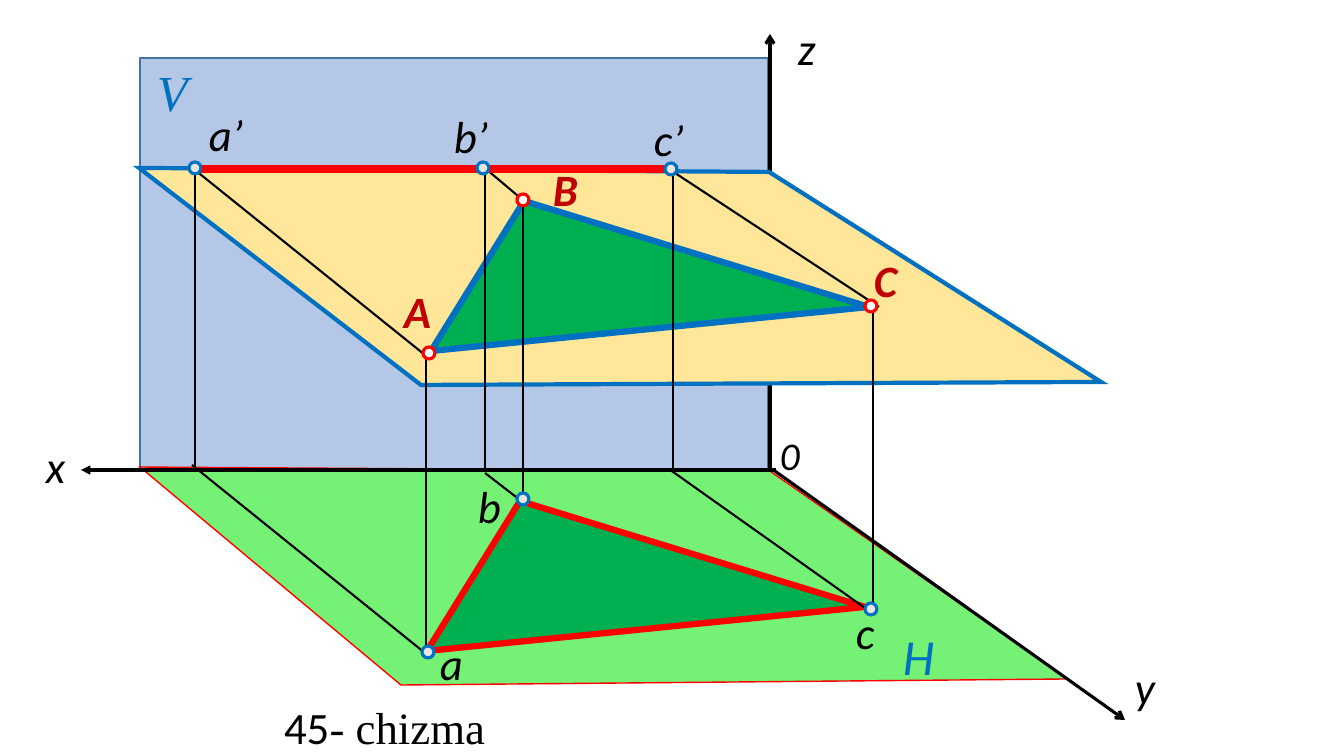
from dataclasses import dataclass

from pptx import Presentation
from pptx.dml.color import RGBColor
from pptx.enum.shapes import MSO_CONNECTOR, MSO_SHAPE
from pptx.enum.text import MSO_ANCHOR, MSO_AUTO_SIZE, PP_ALIGN
from pptx.oxml.ns import qn
from pptx.util import Pt
from lxml.etree import SubElement


@dataclass(frozen=True)
class Theme:
    sans: str = "Calibri"
    serif: str = "Times New Roman"
    black: str = "000000"
    white: str = "FFFFFF"
    blue: str = "0070C0"
    red: str = "FF0000"
    dark_red: str = "C00000"
    green: str = "00B050"
    light_green: str = "75F175"
    yellow: str = "FFE699"
    pale_blue: str = "B4C7E7"
    steel: str = "43739E"
    gray: str = "E7E6E6"
    origin_size: int = 28
    label_size: int = 32
    plane_size: int = 36
    hairline: float = 1
    ray: float = 1.5
    axis: float = 2.25
    border: float = 3
    edge: float = 4.5
    trace: float = 6


THEME = Theme()
PX = 914400 / 100.8

FRONTAL_PLANE = (140, 58, 628, 411)
HORIZONTAL_PLANE = [(140, 467), (770, 471), (1068, 679), (401, 685)]
LEVEL_PLANE = [(139, 168), (769, 172), (1101, 382), (421, 385)]
TRIANGLE = [(431, 351), (524, 201), (869, 307)]
PROJECTION_SHIFT = (-4, 300)

AXES = [
    ((81, 470), (776, 470), "triangle"),
    ((770, 34), (770, 472), "arrow"),
    ((1125, 720), (772, 469), "arrow"),
]
DROPS = [
    ((426, 647), (426, 354)),
    ((873, 609), (873, 311)),
    ((523, 547), (523, 203)),
]
RAYS = [
    ((430, 359), (195, 170)),
    ((879, 307), (672, 171)),
    ((524, 201), (486, 169)),
    ((673, 470), (673, 175)),
    ((485, 469), (485, 175)),
    ((195, 472), (195, 170)),
    ((865, 608), (669, 469)),
    ((520, 500), (485, 473)),
    ((425, 653), (192, 465)),
]
TRACE = ((200, 169), (678, 169))

DOT_SIZE = 12
PROJECTED_POINTS = [(671, 169), (483, 168), (195, 168),
                    (428, 652), (523, 499), (871, 609)]
SPACE_POINTS = [(523, 200), (429, 353), (871, 306)]

LABEL_BOX = (90, 64)
POINT_FORMAT = {"name": THEME.sans, "size": Pt(THEME.label_size), "bold": False, "italic": True}
VERTEX_FORMAT = POINT_FORMAT | {"bold": True}
ORIGIN_FORMAT = POINT_FORMAT | {"size": Pt(THEME.origin_size)}
PLANE_FORMAT = POINT_FORMAT | {"size": Pt(THEME.plane_size)}
CAPTION_FORMAT = POINT_FORMAT | {"italic": False}
LABELS = [
    (POINT_FORMAT, THEME.black, [
        ("x", 36, 434), ("y", 1125, 655), ("z", 788, 16),
        ("a", 430, 631), ("b", 468, 474), ("c", 846, 600),
        ("a’", 199, 102), ("b’", 444, 104), ("c’", 644, 107)]),
    (ORIGIN_FORMAT, THEME.black, [("0", 770, 426)]),
    (VERTEX_FORMAT, THEME.dark_red, [("A", 394, 279), ("B", 543, 157), ("C", 864, 248)]),
    (PLANE_FORMAT | {"name": THEME.serif}, THEME.blue, [("V", 147, 56)]),
    (PLANE_FORMAT, THEME.blue, [("H", 893, 620)]),
]
CAPTION = [("45", THEME.sans), ("- chizma", THEME.serif)]
CAPTION_BOX = (274, 695, 260, 61)


def emu(*lengths):
    return [round(length * PX) for length in lengths]


def paint(part, fill, stroke, weight):
    part.shadow.inherit = False
    part.fill.solid()
    part.fill.fore_color.rgb = RGBColor.from_string(fill)
    part.line.color.rgb = RGBColor.from_string(stroke)
    part.line.width = Pt(weight)


def add_preset(slide, preset, box, fill, stroke, weight):
    paint(slide.shapes.add_shape(preset, *emu(*box)), fill, stroke, weight)


def add_polygon(slide, corners, fill, stroke, weight):
    outline = slide.shapes.build_freeform(*corners[0], scale=PX)
    outline.add_line_segments(corners[1:], close=True)
    polygon = outline.convert_to_shape()
    paint(polygon, fill, stroke, weight)
    SubElement(polygon.line._get_or_add_ln(), qn("a:miter"), lim="800000")


def add_segment(slide, start, end, stroke, weight, arrowhead=None):
    segment = slide.shapes.add_connector(MSO_CONNECTOR.STRAIGHT, *emu(*start, *end))
    segment.line.color.rgb = RGBColor.from_string(stroke)
    segment.line.width = Pt(weight)
    if arrowhead:
        SubElement(segment.line._get_or_add_ln(), qn("a:headEnd"), type=arrowhead)
    SubElement(segment._element.spPr, qn("a:effectLst"))


def add_text(paragraph, text, font_format, color):
    run = paragraph.add_run()
    run.text = text
    for attribute, value in font_format.items():
        setattr(run.font, attribute, value)
    run.font.color.rgb = RGBColor.from_string(color)


def add_label(slide, text, left, top, font_format, color):
    frame = slide.shapes.add_textbox(*emu(left, top, *LABEL_BOX)).text_frame
    frame.word_wrap = True
    add_text(frame.paragraphs[0], text, font_format, color)


def add_caption(slide):
    caption = slide.shapes.title
    caption.left, caption.top, caption.width, caption.height = emu(*CAPTION_BOX)
    frame = caption.text_frame
    frame_format = {"word_wrap": True, "auto_size": MSO_AUTO_SIZE.NONE,
                    "vertical_anchor": MSO_ANCHOR.TOP}
    for attribute, value in frame_format.items():
        setattr(frame, attribute, value)
    paragraph = frame.paragraphs[0]
    paragraph.alignment = PP_ALIGN.LEFT
    for text, typeface in CAPTION:
        add_text(paragraph, text, CAPTION_FORMAT | {"name": typeface}, THEME.black)


def main():
    presentation = Presentation()
    presentation.slide_width, presentation.slide_height = emu(1344, 756)
    slide = presentation.slides.add_slide(presentation.slide_layouts[5])

    add_caption(slide)
    add_preset(slide, MSO_SHAPE.RECTANGLE, FRONTAL_PLANE,
               THEME.pale_blue, THEME.steel, THEME.hairline)
    add_polygon(slide, HORIZONTAL_PLANE, THEME.light_green, THEME.red, THEME.hairline)
    for start, end, arrowhead in AXES:
        add_segment(slide, start, end, THEME.black, THEME.axis, arrowhead)

    add_polygon(slide, LEVEL_PLANE, THEME.yellow, THEME.blue, THEME.border)
    add_polygon(slide, TRIANGLE, THEME.green, THEME.blue, THEME.edge)
    for start, end in DROPS:
        add_segment(slide, start, end, THEME.black, THEME.ray)

    shift_x, shift_y = PROJECTION_SHIFT
    projection = [(x + shift_x, y + shift_y) for x, y in TRIANGLE]
    add_polygon(slide, projection, THEME.green, THEME.red, THEME.edge)
    for start, end in RAYS:
        add_segment(slide, start, end, THEME.black, THEME.ray)
    add_segment(slide, *TRACE, THEME.red, THEME.trace)

    for points, fill, stroke in ((PROJECTED_POINTS, THEME.gray, THEME.blue),
                                 (SPACE_POINTS, THEME.white, THEME.red)):
        for x, y in points:
            dot = (x - DOT_SIZE / 2, y - DOT_SIZE / 2, DOT_SIZE, DOT_SIZE)
            add_preset(slide, MSO_SHAPE.OVAL, dot, fill, stroke, THEME.axis)

    for font_format, color, labels in LABELS:
        for text, left, top in labels:
            add_label(slide, text, left, top, font_format, color)

    presentation.save("out.pptx")


if __name__ == "__main__":
    main()
